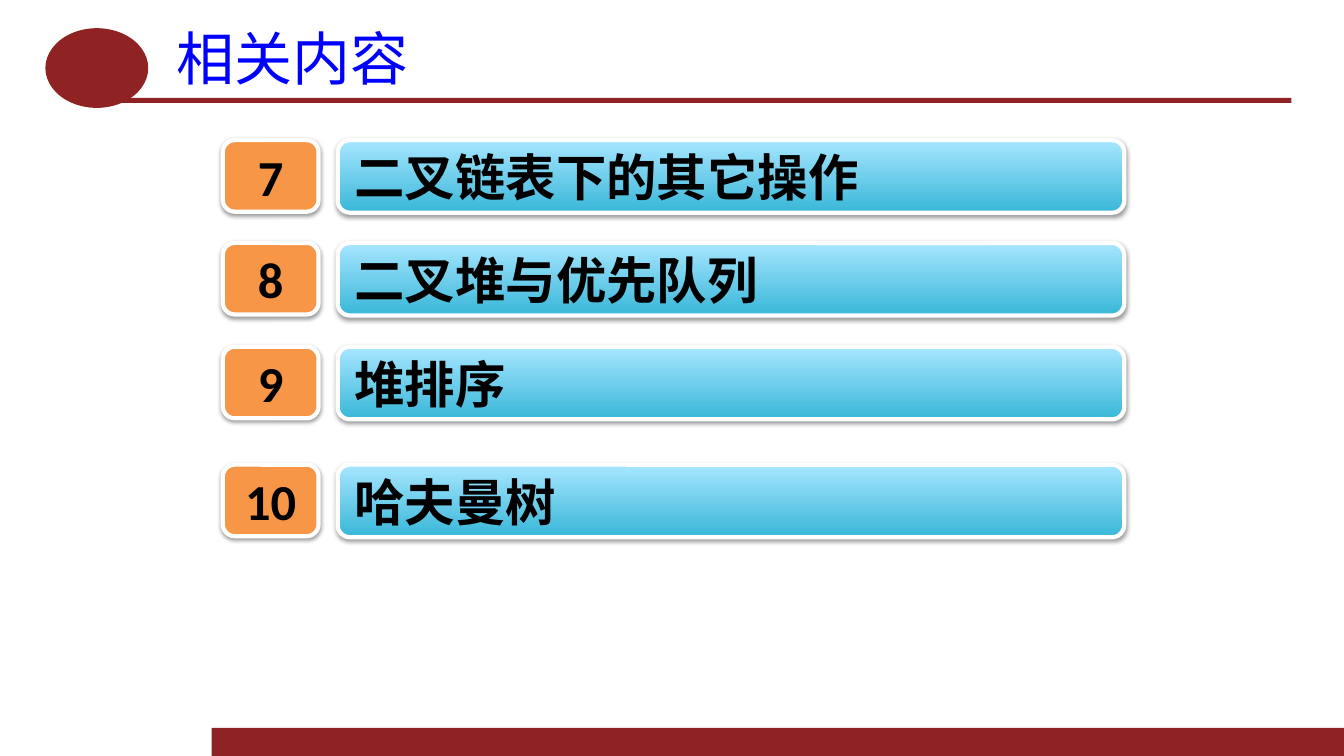
from lxml import etree
from pptx import Presentation
from pptx.dml.color import RGBColor
from pptx.enum.shapes import MSO_SHAPE
from pptx.enum.text import MSO_ANCHOR, MSO_AUTO_SIZE, PP_ALIGN
from pptx.oxml.ns import qn
from pptx.util import Inches, Pt

RECTANGLE = MSO_SHAPE.RECTANGLE
OVAL = MSO_SHAPE.OVAL
ROUNDED = MSO_SHAPE.ROUNDED_RECTANGLE
MIDDLE = MSO_ANCHOR.MIDDLE
NO_AUTOFIT = MSO_AUTO_SIZE.NONE
CENTER = PP_ALIGN.CENTER
JUSTIFY = PP_ALIGN.JUSTIFY

TOPICS = [
    (1.39, "7", "二叉链表下的其它操作"),
    (2.41, "8", "二叉堆与优先队列"),
    (3.44, "9", "堆排序"),
    (4.61, "10", "哈夫曼树"),
]


def color(value):
    return RGBColor.from_string(value)


class AgendaSlide:
    MAROON = "8F2222"
    ORANGE = "F79646"
    BAR_BOTTOM = "39B7D8"
    BAR_TOP = "A7E6FF"
    WHITE = "FFFFFF"
    BLACK = "000000"
    BLUE = "0000FF"
    LATIN_FONT = "Calibri"
    CHINESE_FONT = "Noto Sans CJK SC"

    def __init__(self, presentation):
        self.slide = presentation.slides.add_slide(presentation.slide_layouts[5])

    def set_text(self, shape, text, size, font, ink, alignment, bold):
        frame = shape.text_frame
        frame.text = text
        frame.word_wrap = True
        frame.auto_size = NO_AUTOFIT
        frame.vertical_anchor = MIDDLE
        frame.margin_left = frame.margin_right = Inches(0.13)
        frame.margin_top = frame.margin_bottom = Inches(0.06)
        paragraph = frame.paragraphs[0]
        paragraph.alignment = alignment
        run = paragraph.runs[0]
        run.font.size = Pt(size)
        run.font.bold = bold
        run.font.name = font
        run.font.color.rgb = color(ink)
        east_asian = etree.SubElement(run.font._element, qn("a:ea"))
        east_asian.set("typeface", self.CHINESE_FONT)

    def title(self, text, left, top, width, height):
        title = self.slide.shapes.title
        title.left, title.top = Inches(left), Inches(top)
        title.width, title.height = Inches(width), Inches(height)
        self.set_text(title, text, 41.4, self.CHINESE_FONT, self.BLUE, JUSTIFY, False)

    def shape(self, kind, left, top, width, height):
        shape = self.slide.shapes.add_shape(
            kind, Inches(left), Inches(top), Inches(width), Inches(height))
        shape.shadow.inherit = False
        return shape

    def decoration(self, kind, left, top, width, height):
        shape = self.shape(kind, left, top, width, height)
        shape.fill.solid()
        shape.fill.fore_color.rgb = color(self.MAROON)
        shape.line.fill.background()

    def card(self, text, left, top, width, height, alignment):
        """Add a white-edged rounded box with a soft shadow, still to be filled."""
        card = self.shape(ROUNDED, left, top, width, height)
        card.line.color.rgb = color(self.WHITE)
        card.line.width = Pt(3)
        effects = card._element.spPr.find(qn("a:effectLst"))
        shadow = etree.SubElement(
            effects, qn("a:outerShdw"), blurRad=str(Pt(3.1)), dist=str(Pt(1.6)),
            dir="5400000", rotWithShape="0")
        shade = etree.SubElement(shadow, qn("a:srgbClr"), val=self.BLACK)
        etree.SubElement(shade, qn("a:alpha"), val="38000")
        self.set_text(card, text, 36, self.LATIN_FONT, self.BLACK, alignment, True)
        return card

    def topic(self, top, number, name):
        badge = self.card(number, 2.21, top, 0.95, 0.71, CENTER)
        badge.fill.solid()
        badge.fill.fore_color.rgb = color(self.ORANGE)
        bar = self.card(name, 3.35, top, 7.8, 0.72, JUSTIFY)
        bar.fill.gradient()
        bar.fill.gradient_angle = 90
        for stop, shade in zip(bar.fill.gradient_stops, (self.BAR_BOTTOM, self.BAR_TOP)):
            stop.color.rgb = color(shade)


def main():
    presentation = Presentation()
    presentation.slide_width = Inches(13.33)
    presentation.slide_height = Inches(7.5)
    agenda = AgendaSlide(presentation)
    agenda.decoration(RECTANGLE, 2.1, 7.22, 11.23, 0.28)
    agenda.decoration(RECTANGLE, 1.18, 0.97, 11.63, 0.05)
    agenda.decoration(OVAL, 0.45, 0.28, 1.02, 0.79)
    agenda.title("相关内容", 1.62, 0.21, 11.19, 0.71)
    for top, number, name in TOPICS:
        agenda.topic(top, number, name)
    presentation.save("out.pptx")


if __name__ == "__main__":
    main()
